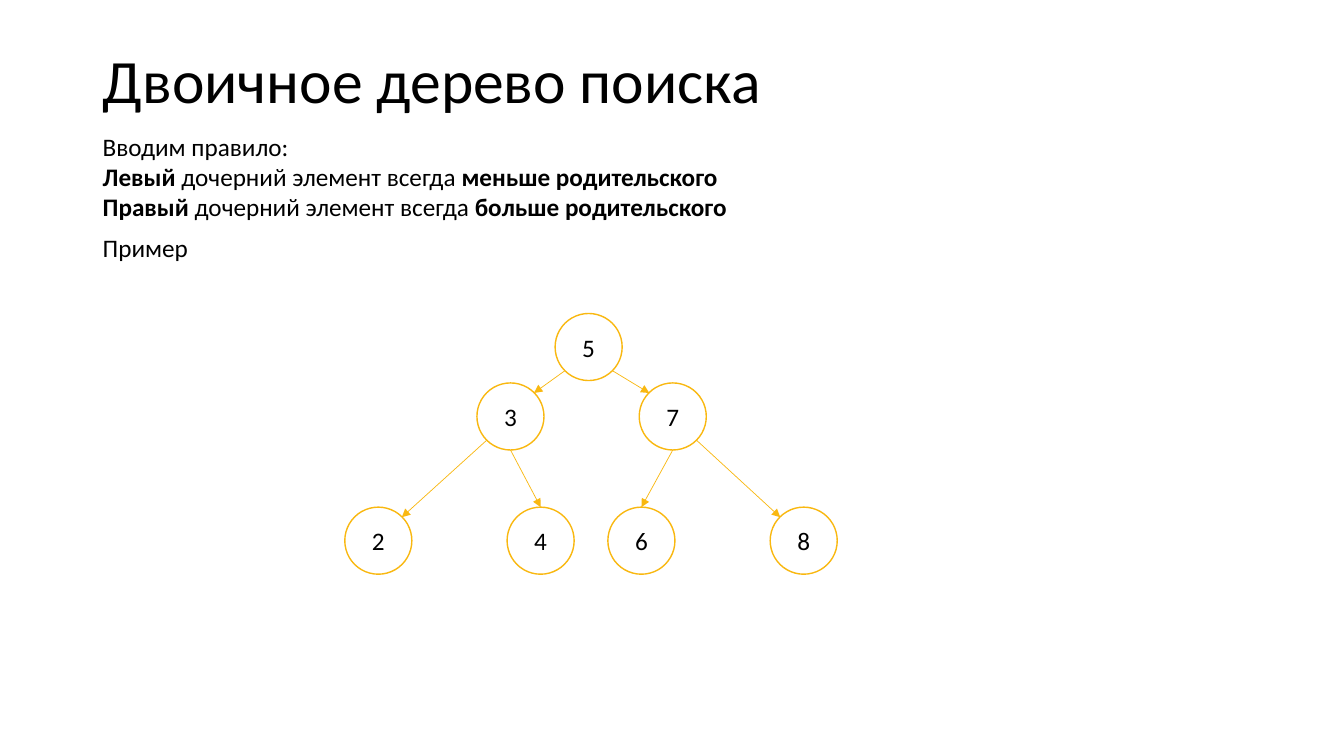
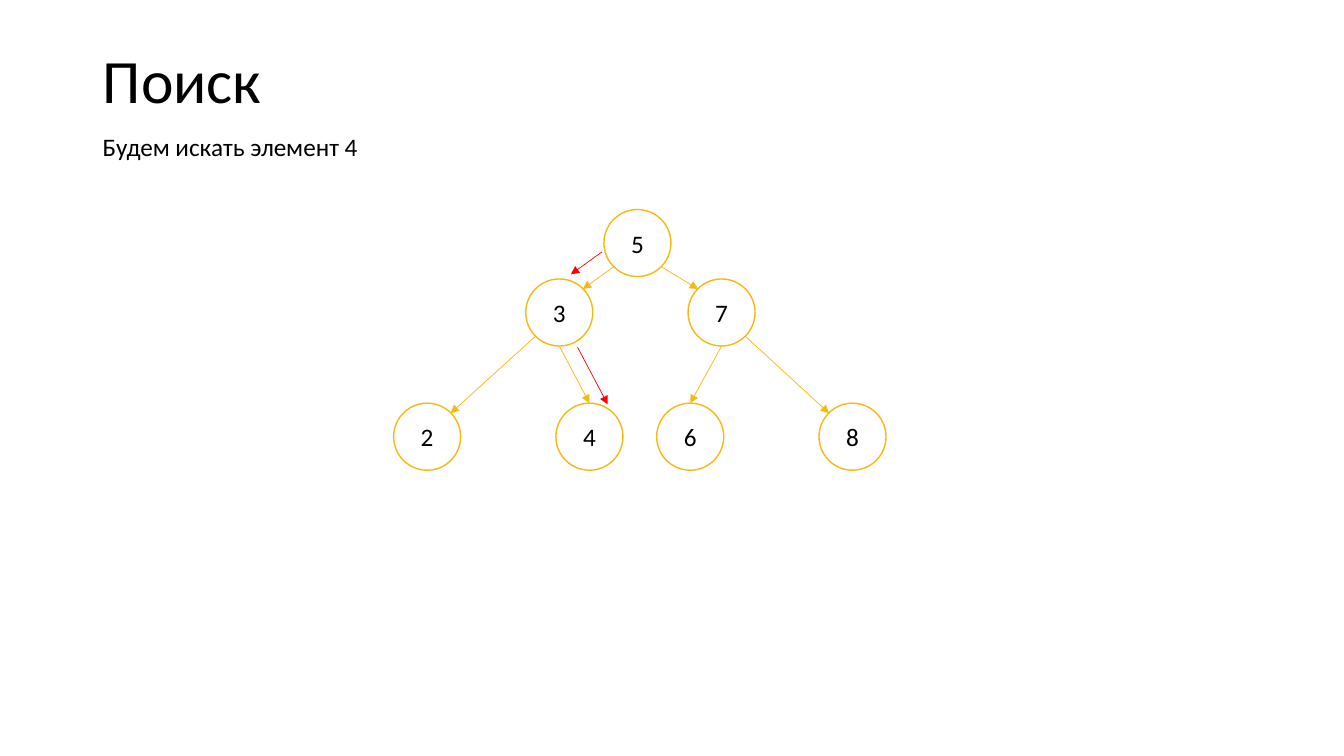
from dataclasses import dataclass

from lxml.etree import SubElement
from pptx import Presentation
from pptx.dml.color import RGBColor
from pptx.enum.shapes import MSO_CONNECTOR as Connector, MSO_SHAPE as Preset
from pptx.enum.text import MSO_ANCHOR as Anchor, MSO_AUTO_SIZE as AutoSize, PP_ALIGN as Align
from pptx.oxml.ns import qn
from pptx.util import Cm, Pt


@dataclass(frozen=True)
class Theme:
    font: str = "Calibri"
    text: RGBColor = RGBColor(0x00, 0x00, 0x00)
    node_fill: RGBColor = RGBColor(0xFF, 0xFF, 0xFF)
    tree_line: RGBColor = RGBColor(0xF9, 0xB8, 0x10)
    search_line: RGBColor = RGBColor(0xFF, 0x00, 0x00)
    title_size: int = 44
    body_size: int = 18
    node_width: float = 1
    edge_width: float = 0.5


THEME = Theme()
TITLE_BOX = (2.34, 1.02, 29.2, 2.16)
TEXT_LEFT, TEXT_TOP = 2.34, 3.18
LINE_HEIGHT = 1.02

NODE_SIZE = 1.69
SIBLING_GAP = 4.09
LEVELS = (0, 1.75, 4.88)
NODES = {
    "5": (5.3, LEVELS[0]),
    "3": (3.33, LEVELS[1]),
    "7": (3.33 + SIBLING_GAP, LEVELS[1]),
    "2": (0, LEVELS[2]),
    "4": (SIBLING_GAP, LEVELS[2]),
    "6": (6.63, LEVELS[2]),
    "8": (6.63 + SIBLING_GAP, LEVELS[2]),
}
NEAR, FAR = 0.15, 0.85
SITES = {
    "top": (0.5, 0),
    "bottom": (0.5, 1),
    "top left": (NEAR, NEAR),
    "top right": (FAR, NEAR),
    "bottom left": (NEAR, FAR),
    "bottom right": (FAR, FAR),
}
EDGES = {
    ("5", "3"): ("bottom left", "top right"),
    ("3", "2"): ("bottom left", "top right"),
    ("3", "4"): ("bottom", "top"),
    ("5", "7"): ("bottom right", "top left"),
    ("7", "6"): ("bottom", "top"),
    ("7", "8"): ("bottom right", "top left"),
}
SEARCH_STEPS = {("5", "3"): (-0.3, -0.37), ("3", "4"): (0.46, 0.03)}


def apply(target, formats):
    for name, value in formats.items():
        setattr(target, name, value)


def write(paragraph, text, size, bold=False):
    run = paragraph.add_run()
    run.text = text
    apply(run.font, {"name": THEME.font, "size": Pt(size), "bold": bold})
    run.font.color.rgb = THEME.text


def add_title_slide(presentation, title):
    slide = presentation.slides.add_slide(presentation.slide_layouts.get_by_name("Title Only"))
    shape = slide.shapes.title
    apply(shape, dict(zip(("left", "top", "width", "height"), map(Cm, TITLE_BOX))))
    apply(shape.text_frame, {"vertical_anchor": Anchor.MIDDLE, "auto_size": AutoSize.NONE})
    paragraph = shape.text_frame.paragraphs[0]
    apply(paragraph, {"alignment": Align.LEFT, "line_spacing": 0.9})
    write(paragraph, title, THEME.title_size)
    return slide


def add_text(slide, box, lines):
    frame = slide.shapes.add_textbox(*map(Cm, box)).text_frame
    frame.word_wrap = True
    for index, line in enumerate(lines):
        paragraph = frame.add_paragraph() if index else frame.paragraphs[0]
        for text, bold in line:
            write(paragraph, text, THEME.body_size, bold)


def add_node(shapes, label, left, top):
    shape = shapes.add_shape(Preset.OVAL, Cm(left), Cm(top), Cm(NODE_SIZE), Cm(NODE_SIZE))
    shape.shadow.inherit = False
    shape.fill.solid()
    shape.fill.fore_color.rgb = THEME.node_fill
    shape.line.color.rgb = THEME.tree_line
    shape.line.width = Pt(THEME.node_width)
    frame = shape.text_frame
    apply(frame, {"margin_left": 0, "margin_right": 0, "margin_top": 0, "margin_bottom": 0,
                  "vertical_anchor": Anchor.MIDDLE, "word_wrap": False})
    frame.paragraphs[0].alignment = Align.CENTER
    write(frame.paragraphs[0], label, THEME.body_size)


def add_arrow(shapes, start, end, color):
    connector = shapes.add_connector(Connector.STRAIGHT, *map(Cm, (*start, *end)))
    connector.line.color.rgb = color
    connector.line.width = Pt(THEME.edge_width)
    properties = connector.element.spPr
    SubElement(properties.find(qn("a:ln")), qn("a:tailEnd"), type="triangle")
    SubElement(properties, qn("a:effectLst"))


def add_edge(shapes, origin, edge, color, shift=(0, 0)):
    start, end = (
        [base + place + NODE_SIZE * part + move
         for base, place, part, move in zip(origin, NODES[node], SITES[site], shift)]
        for node, site in zip(edge, EDGES[edge])
    )
    add_arrow(shapes, start, end, color)


def add_tree(slide, origin):
    shapes = slide.shapes.add_group_shape().shapes
    for label, (left, top) in NODES.items():
        add_node(shapes, label, origin[0] + left, origin[1] + top)
    for edge in EDGES:
        add_edge(shapes, origin, edge, THEME.tree_line)


def build_rule_slide(presentation):
    slide = add_title_slide(presentation, "Двоичное дерево поиска")
    child = (" дочерний элемент всегда ", False)
    add_text(slide, (TEXT_LEFT, TEXT_TOP, 16.76, 2.57), [
        [("Вводим правило:", False)],
        [("Левый", True), child, ("меньше родительского", True)],
        [("Правый", True), child, ("больше родительского", True)],
    ])
    add_text(slide, (TEXT_LEFT, 5.74, 2.7, LINE_HEIGHT), [[("Пример", False)]])
    add_tree(slide, (8.69, 7.9))


def build_search_slide(presentation):
    slide = add_title_slide(presentation, "Поиск")
    origin = (9.92, 5.28)
    add_tree(slide, origin)
    add_text(slide, (TEXT_LEFT, TEXT_TOP, 7.5, LINE_HEIGHT), [[("Будем искать элемент 4", False)]])
    for edge, shift in SEARCH_STEPS.items():
        add_edge(slide.shapes, origin, edge, THEME.search_line, shift)


def main():
    presentation = Presentation()
    apply(presentation, {"slide_width": Cm(33.87), "slide_height": Cm(19.05)})
    build_rule_slide(presentation)
    build_search_slide(presentation)
    presentation.save("out.pptx")


if __name__ == "__main__":
    main()
